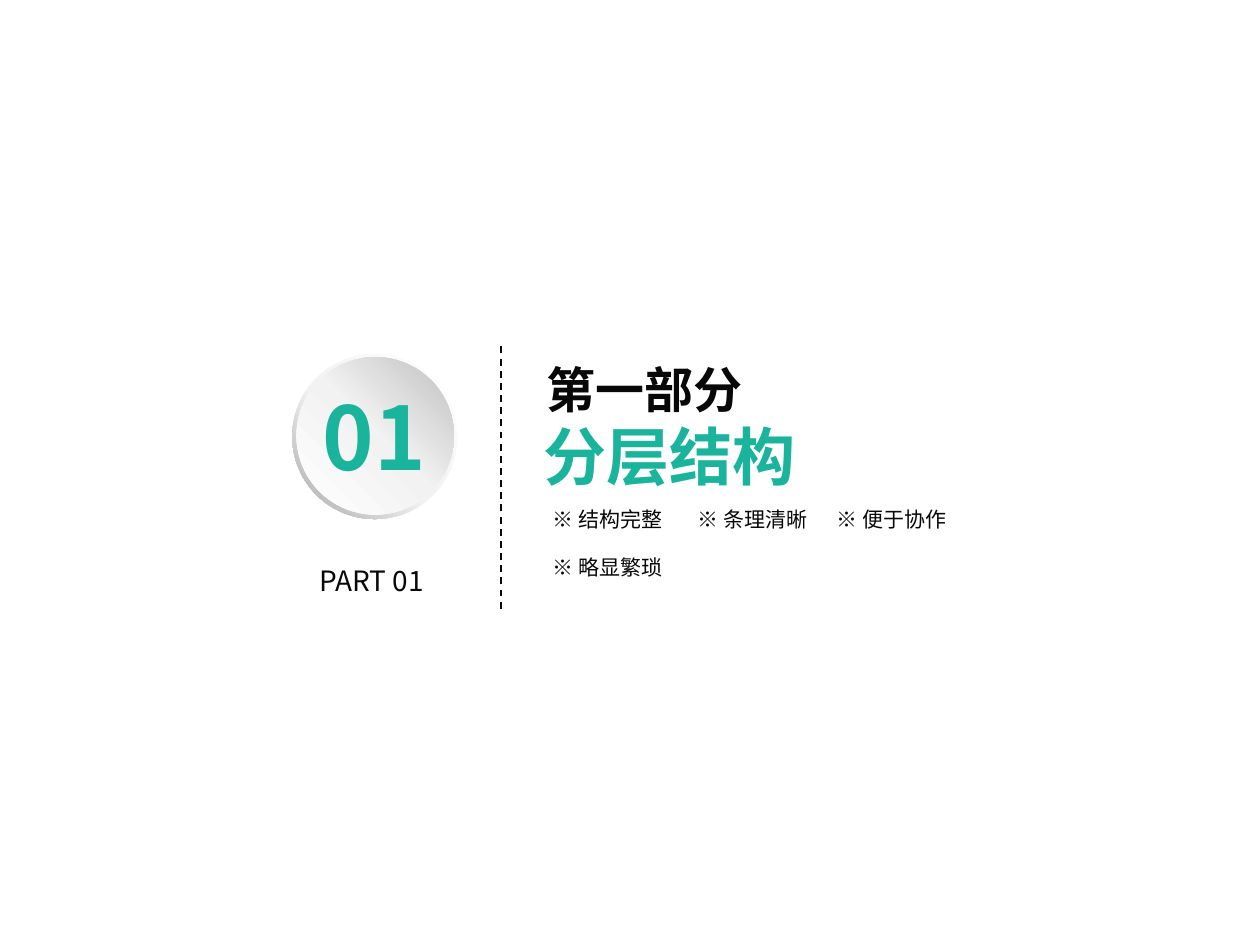
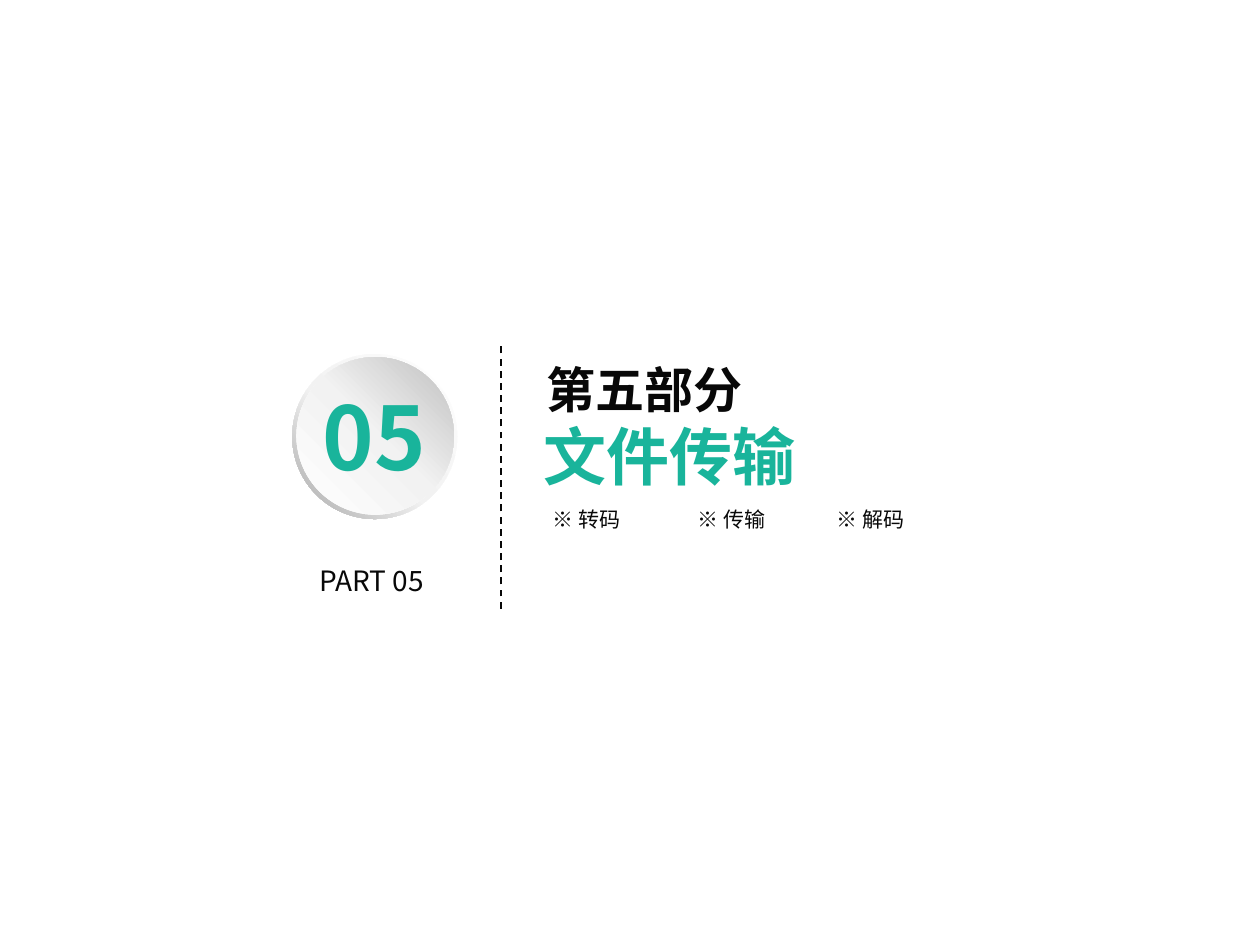
from copy import deepcopy
from lxml.etree import SubElement
from pptx import Presentation
from pptx.dml.color import RGBColor as RGB
from pptx.enum.dml import MSO_LINE as Dash
from pptx.enum.shapes import MSO_CONNECTOR as Link, MSO_SHAPE as Shape
from pptx.enum.text import MSO_ANCHOR as Anchor, MSO_AUTO_SIZE as Fit, PP_ALIGN as Align
from pptx.oxml.ns import qn
from pptx.util import Pt

FONT = "Noto Sans CJK SC"
INK = RGB(0x08, 0x08, 0x08)
TEAL = RGB(0x19, 0xB4, 0x9B)
WHITE = RGB(0xFF, 0xFF, 0xFF)
PALE = RGB(0xF2, 0xF2, 0xF2)
SILVER = RGB(0xBF, 0xBF, 0xBF)
GREY = RGB(0xA6, 0xA6, 0xA6)

TITLE_ONLY = 5
COLS = (311, 393.6, 473)
ROW_TOP, ROW_STEP = 287.3, 27.4

PARTS = [
    ("01", "第一部分", "分层结构", ["结构完整", "条理清晰", "便于协作", "略显繁琐"]),
    ("05", "第五部分", "文件传输", ["转码", "传输", "解码"]),
]


def style(para, size, color=INK, bold=False):
    font = para.font
    font.name, font.size, font.bold = FONT, Pt(size), bold
    font.color.rgb = color
    props = para._p.find(".//" + qn("a:defRPr"))
    SubElement(props, qn("a:ea")).set("typeface", FONT)


def inset(frame, x, y):
    frame.margin_left = frame.margin_right = Pt(x)
    frame.margin_top = frame.margin_bottom = Pt(y)


def label(slide, text, box, size, color=INK, bold=False, pad=(0, 0)):
    frame = slide.shapes.add_textbox(*map(Pt, box)).text_frame
    frame.word_wrap = True
    frame.auto_size = Fit.SHAPE_TO_FIT_TEXT
    inset(frame, *pad)
    para = frame.paragraphs[0]
    para.text = text
    style(para, size, color, bold)


def heading(slide, part, topic):
    title = slide.shapes.title
    title.left, title.top, title.width, title.height = map(Pt, (303.1, 201.6, 158.4, 84.2))
    frame = title.text_frame
    frame.word_wrap = False
    frame.auto_size = Fit.SHAPE_TO_FIT_TEXT
    frame.vertical_anchor = Anchor.TOP
    inset(frame, 6, 3.6)
    first, second = frame.paragraphs[0], frame.add_paragraph()
    first.alignment, second.alignment = Align.LEFT, Align.CENTER
    style(first, 28, INK, True)
    for text, size in ((" ", 14), (part, 28)):
        run = first.add_run()
        run.text, run.font.size = text, Pt(size)
    second.text = topic
    style(second, 36, TEAL, True)


def disc(slide, kind, box, stops, angle):
    """Draw a round shape with a three-stop gradient, angle counter-clockwise."""
    shape = slide.shapes.add_shape(kind, *map(Pt, box))
    shape.shadow.inherit = False
    shape.line.fill.background()
    fill = shape.fill
    fill.gradient()
    fill.gradient_angle = angle
    marks = shape._element.spPr.find(".//" + qn("a:gsLst"))
    marks.append(deepcopy(marks[-1]))
    for stop, (place, color) in zip(fill.gradient_stops, stops):
        stop.position, stop.color.rgb = place, color
    return shape


def badge(slide):
    ring = disc(slide, Shape.DONUT, (167, 202.3, 94.3, 94.3),
                [(0, WHITE), (0.55, PALE), (1, GREY)], 225)
    ring.adjustments[0] = 0.05
    disc(slide, Shape.OVAL, (169.4, 204.1, 90, 90),
         [(0, WHITE), (0.51, PALE), (1, SILVER)], 45)


def divider(slide):
    rule = slide.shapes.add_connector(Link.STRAIGHT, *map(Pt, (286.3, 347.8, 286.3, 196.6)))
    rule.line.color.rgb = INK
    rule.line.width = Pt(1)
    rule.line.dash_style = Dash.DASH
    SubElement(rule._element.spPr, qn("a:effectLst"))


def points(slide, items):
    for i, item in enumerate(items):
        row, col = divmod(i, len(COLS))
        box = (COLS[col], ROW_TOP + row * ROW_STEP, 80, 19.4)
        label(slide, "※ " + item, box, 12, pad=(5, 2.2))


def main():
    deck = Presentation()
    deck.slide_width, deck.slide_height = Pt(720), Pt(540)
    for number, part, topic, items in PARTS:
        slide = deck.slides.add_slide(deck.slide_layouts[TITLE_ONLY])
        heading(slide, part, topic)
        divider(slide)
        label(slide, "PART " + number, (182.6, 321.8, 71.3, 19.4), 16)
        badge(slide)
        points(slide, items)
        label(slide, number, (184.3, 218.9, 71.3, 60.5), 50, TEAL, True)
    deck.save("out.pptx")


if __name__ == "__main__":
    main()
